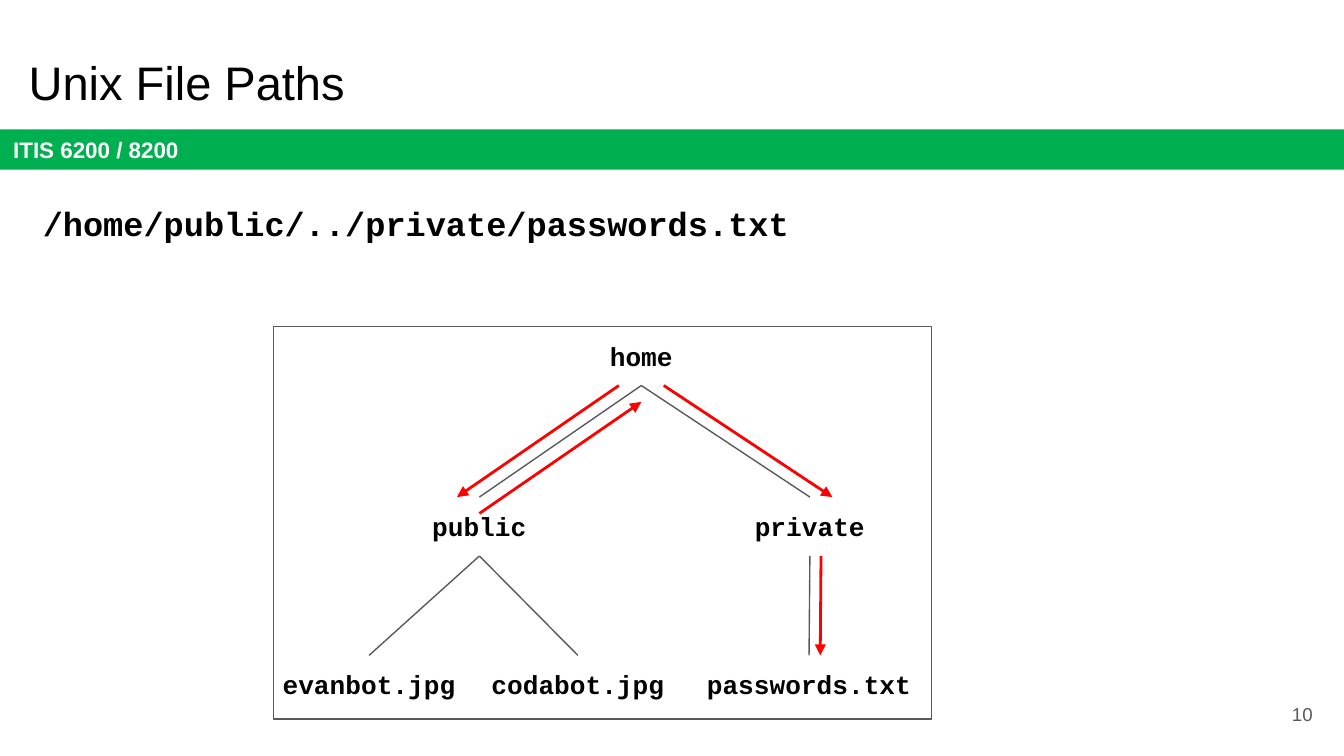
from dataclasses import dataclass

from lxml.etree import SubElement
from pptx import Presentation
from pptx.dml.color import RGBColor
from pptx.enum.shapes import MSO_CONNECTOR, MSO_SHAPE
from pptx.enum.text import MSO_ANCHOR, PP_ALIGN
from pptx.oxml.ns import qn
from pptx.util import Inches, Pt

BLACK = RGBColor(0, 0, 0)
WHITE = RGBColor(255, 255, 255)
GREEN = RGBColor(0, 176, 80)
GRAY = RGBColor(89, 89, 89)
RED = RGBColor(255, 0, 0)
MONO = "Courier New"

# Positions and sizes are percentages of the slide's width and height.
ROWS = (43.2, 65.75, 86.7)
ROW_H = 7.8


@dataclass
class Box:
    left: float
    top: float
    width: float
    height: float


@dataclass
class Node:
    name: str
    mid: float
    row: int
    width: float


@dataclass
class Step:
    """A red arrow beside the tree edge from upper to lower."""
    upper: Node
    lower: Node
    dx: float = 0
    dy: float = 0
    climb: bool = False


HOME = Node("home", 47.72, 0, 7)
PUBLIC = Node("public", 35.67, 1, 9.6)
PRIVATE = Node("private", 60.26, 1, 11)
EVAN = Node("evanbot.jpg", 27.46, 2, 14.9)
CODA = Node("codabot.jpg", 43, 2, 14.9)
SECRET = Node("passwords.txt", 60.2, 2, 18.2)
NODES = (HOME, PUBLIC, PRIVATE, EVAN, CODA, SECRET)
EDGES = ((HOME, PUBLIC), (HOME, PRIVATE), (PUBLIC, EVAN),
         (PUBLIC, CODA), (PRIVATE, SECRET))
STEPS = (
    Step(HOME, PUBLIC, dx=-1.67),
    Step(HOME, PUBLIC, dy=2.17, climb=True),
    Step(HOME, PRIVATE, dx=1.67),
    Step(PRIVATE, SECRET, dx=0.83),
)

deck = Presentation()
deck.slide_width = Inches(10)
deck.slide_height = deck.slide_width * 9 // 16
slide = deck.slides.add_slide(deck.slide_layouts[6])


def across(share: float) -> int:
    return round(deck.slide_width * share / 100)


def down(share: float) -> int:
    return round(deck.slide_height * share / 100)


def place(box: Box) -> tuple[int, int, int, int]:
    return across(box.left), down(box.top), across(box.width), down(box.height)


def write(shape, text: str, size: float, color: RGBColor, font: str = "Arial",
          bold: bool = False, align=PP_ALIGN.LEFT, anchor=MSO_ANCHOR.TOP):
    """Fill a shape with one styled paragraph and return that paragraph."""
    frame = shape.text_frame
    frame.text = text
    frame.word_wrap = True
    frame.vertical_anchor = anchor
    frame.margin_left = frame.margin_right = Inches(0.1)
    frame.margin_top = frame.margin_bottom = Inches(0.1)
    para = frame.paragraphs[0]
    para.alignment = align
    style = para.runs[0].font
    style.name, style.size, style.bold = font, Pt(size), bold
    style.color.rgb = color
    return para


def label(box: Box, text: str, size: float, color: RGBColor, **look):
    return write(slide.shapes.add_textbox(*place(box)), text, size, color, **look)


def rect(box: Box):
    shape = slide.shapes.add_shape(MSO_SHAPE.RECTANGLE, *place(box))
    shape.shadow.inherit = False
    return shape


def link(upper: Node, lower: Node, color: RGBColor, width: float,
         dx: float = 0, dy: float = 0, climb: bool = False):
    """Join the foot of one node to the head of another, shifted by dx, dy."""
    ends = [(across(upper.mid + dx), down(ROWS[upper.row] + ROW_H + dy)),
            (across(lower.mid + dx), down(ROWS[lower.row] + dy))]
    if climb:
        ends.reverse()
    line = slide.shapes.add_connector(MSO_CONNECTOR.STRAIGHT, *ends[0], *ends[1])
    line.line.color.rgb = color
    line.line.width = Pt(width)
    SubElement(line._element.spPr, qn("a:effectLst"))
    return line


def arrow(step: Step) -> None:
    line = link(step.upper, step.lower, RED, 1.5, step.dx, step.dy, step.climb)
    SubElement(line.line._get_or_add_ln(), qn("a:tailEnd"), type="triangle")


band = rect(Box(0, 17.13, 100, 5.33))
band.fill.solid()
band.fill.fore_color.rgb = GREEN
band.line.fill.background()
write(band, "ITIS 6200 / 8200", 12, WHITE, bold=True, anchor=MSO_ANCHOR.MIDDLE)

label(Box(1.14, 5.33, 93.2, 11.2), "Unix File Paths", 25.2, BLACK)
route = label(Box(2.2, 24.25, 85, 17.6), "/home/public/../private/passwords.txt",
              18, BLACK, font=MONO, bold=True)
route.line_spacing = 1.15
route.space_after = Pt(12)
label(Box(92.65, 90.67, 6, 7.65), "10", 10, GRAY,
      align=PP_ALIGN.RIGHT, anchor=MSO_ANCHOR.MIDDLE)

frame = rect(Box(20.36, ROWS[0], 48.94, 51.9))
frame.fill.background()
frame.line.color.rgb = GRAY
frame.line.width = Pt(0.75)

for node in NODES:
    spot = Box(node.mid - node.width / 2, ROWS[node.row], node.width, ROW_H)
    label(spot, node.name, 14, BLACK, font=MONO, bold=True, align=PP_ALIGN.CENTER)
for upper, lower in EDGES:
    link(upper, lower, GRAY, 0.75)
for step in STEPS:
    arrow(step)

deck.save("out.pptx")
